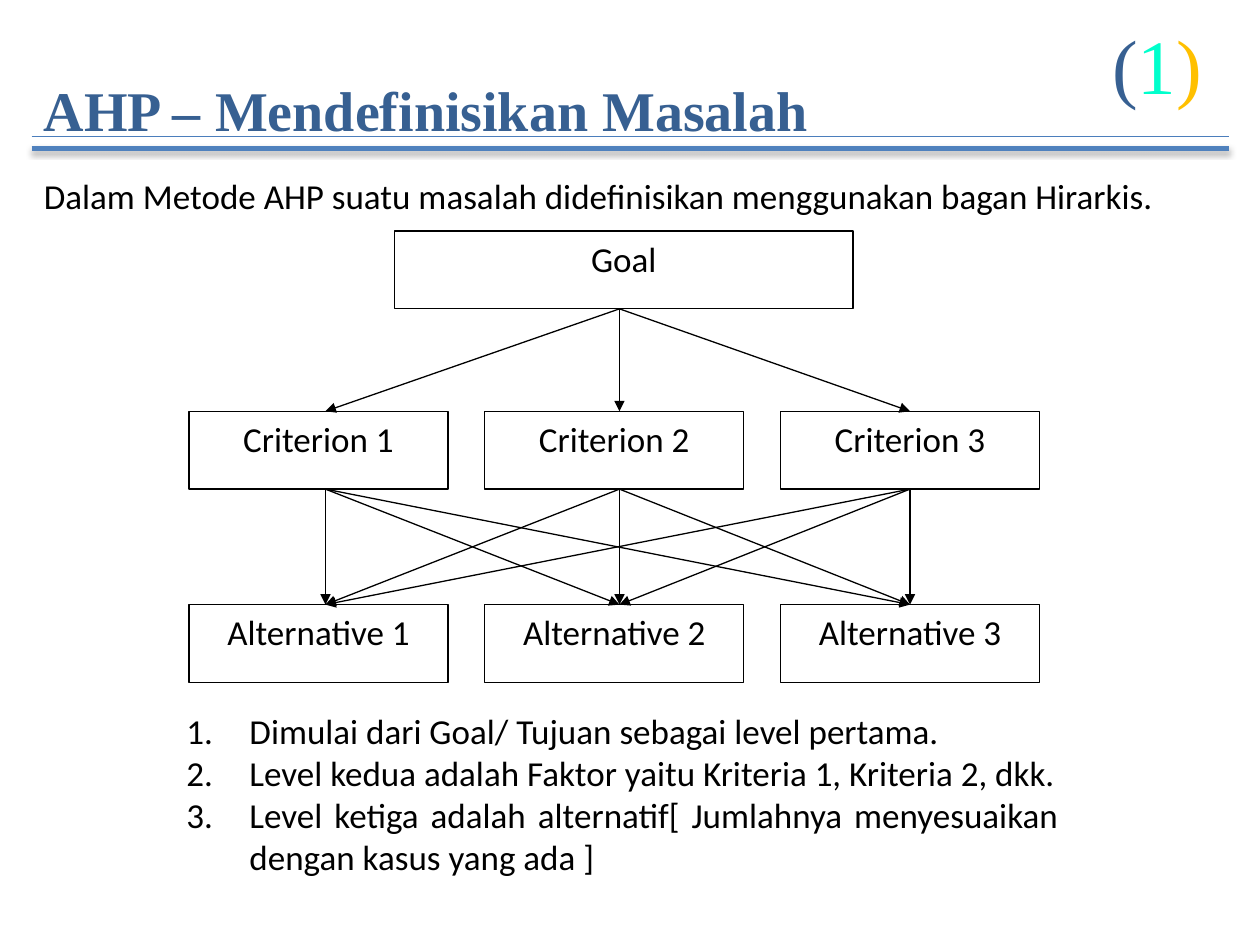
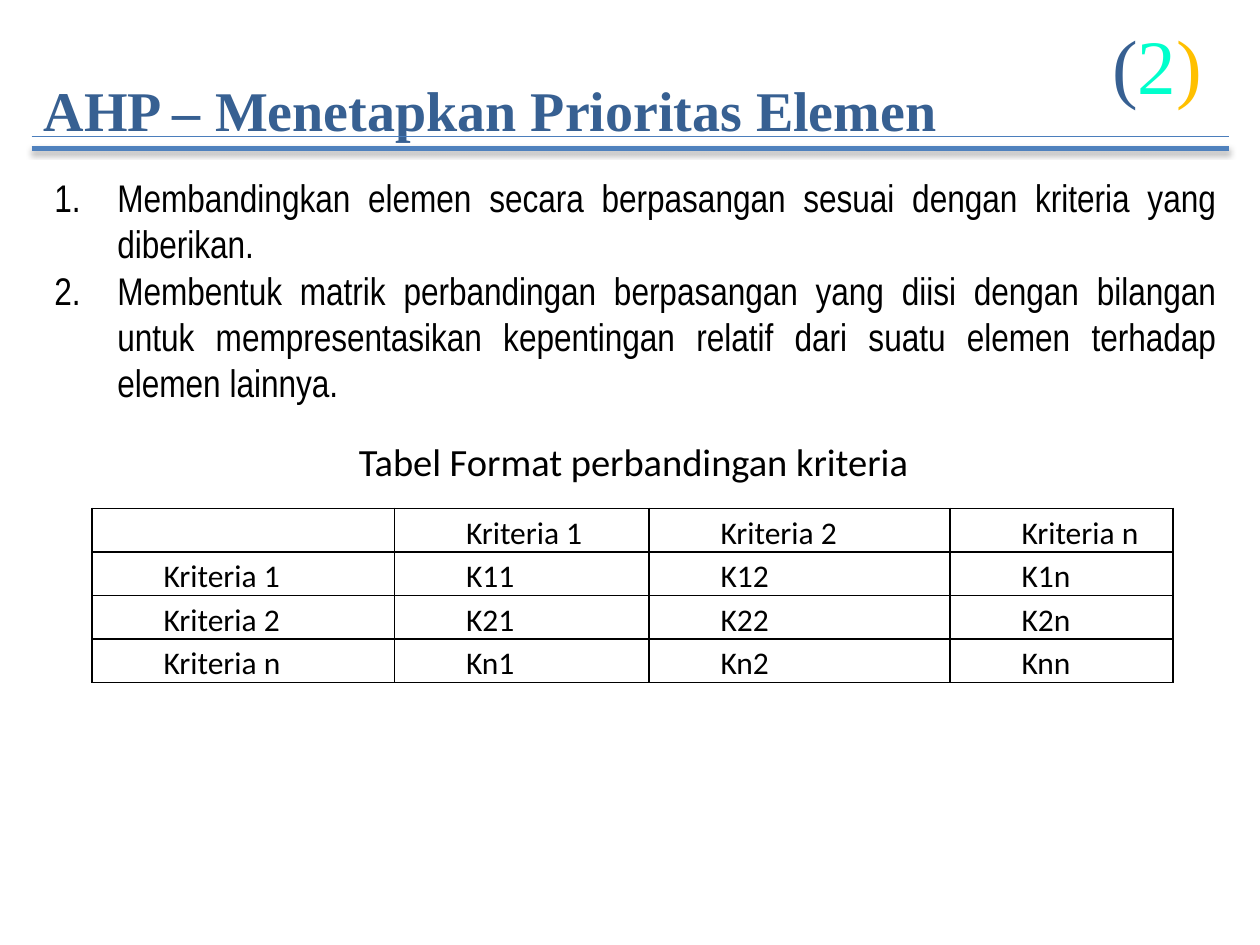
from lxml.etree import SubElement
from pptx import Presentation
from pptx.dml.color import RGBColor
from pptx.enum.shapes import MSO_CONNECTOR as Connector, MSO_SHAPE as Shape
from pptx.enum.text import MSO_ANCHOR as Anchor, PP_ALIGN as Align
from pptx.oxml.ns import qn
from pptx.util import Pt

# Shared style
BLACK, WHITE = "000000", "FFFFFF"
NAVY, BLUE, THIN_BLUE = "376092", "4F81BD", "4B7EBC"
AQUA, GOLD = "00FFCC", "FFC000"
BODY, NARROW, SERIF = "Calibri", "Arial Narrow", "Times New Roman"

# Hierarchy chart grid
BOX_HEIGHT, BOX_WIDTH = 44.5, 148
BOX_LEFTS = [108 + 169 * i for i in range(3)]
ARROW_XS = [186, 354, 520]
GOAL_TOP, CRITERION_TOP, ALTERNATIVE_TOP = 132, 235, 345.5


def colour(hex_code):
    return RGBColor.from_string(hex_code)


def set_font(target, size, name=BODY, hex_code=BLACK, bold=False):
    font = target.font
    font.size, font.name, font.bold = Pt(size), name, bold
    font.color.rgb = colour(hex_code)


def add_text_box(page, left, top, width, height, anchor=Anchor.TOP, wrap=True):
    box = page.shapes.add_textbox(Pt(left), Pt(top), Pt(width), Pt(height))
    frame = box.text_frame
    frame.word_wrap = wrap
    frame.vertical_anchor = anchor
    return frame


def add_line(page, start, end, hex_code, width):
    line = page.shapes.add_connector(Connector.STRAIGHT, *map(Pt, start + end))
    line.line.color.rgb = colour(hex_code)
    line.line.width = Pt(width)
    effects = SubElement(line._element.spPr, qn("a:effectLst"))
    return line, effects


def add_soft_shadow(effects):
    shadow = SubElement(effects, qn("a:outerShdw"), blurRad=str(Pt(3.1)),
                        dist=str(Pt(1.8)), dir="5400000", rotWithShape="0")
    black = SubElement(shadow, qn("a:srgbClr"), val=BLACK)
    SubElement(black, qn("a:alpha"), val="35000")


def add_header(page, title, number):
    frame = add_text_box(page, 18, 29.5, 612, 66, Anchor.MIDDLE)
    para = frame.paragraphs[0]
    para.text = title
    set_font(para, 32, SERIF, NAVY, bold=True)

    # Double rule under the title
    add_line(page, (18, 78), (702, 78), THIN_BLUE, 0.75)
    _, effects = add_line(page, (18, 85), (702, 85), BLUE, 3)
    add_soft_shadow(effects)

    # Step number in coloured brackets
    para = add_text_box(page, 628.5, 3.5, 72, 66, Anchor.MIDDLE).paragraphs[0]
    for text, hex_code in (("(", NAVY), (number, AQUA), (")", GOLD)):
        span = para.add_run()
        span.text = text
        set_font(span, 44, SERIF, hex_code)


def add_numbered_list(page, place, items, size, name=BODY):
    frame = add_text_box(page, *place)
    for i, item in enumerate(items):
        para = frame.paragraphs[0] if i == 0 else frame.add_paragraph()
        para.text = item
        para.alignment = Align.JUSTIFY
        properties = para._p.get_or_add_pPr()
        properties.set("marL", str(Pt(36)))
        properties.set("indent", str(-Pt(36)))
        SubElement(properties, qn("a:buFont"), typeface="+mj-lt")
        SubElement(properties, qn("a:buAutoNum"), type="arabicPeriod")
        set_font(para, size, name)


def add_node(page, text, left, top, width=BOX_WIDTH):
    node = page.shapes.add_shape(Shape.RECTANGLE, Pt(left), Pt(top), Pt(width), Pt(BOX_HEIGHT))
    node.shadow.inherit = False
    node.fill.solid()
    node.fill.fore_color.rgb = colour(WHITE)
    node.line.color.rgb = colour(BLACK)
    node.line.width = Pt(0.75)
    node.text_frame.vertical_anchor = Anchor.TOP
    para = node.text_frame.paragraphs[0]
    para.text = text
    para.alignment = Align.CENTER
    para.space_after = Pt(10)
    set_font(para, 20)
    return node


def is_middle(node, x):
    return node.left + node.width // 2 == Pt(x)


def add_arrow(page, upper, upper_x, lower, lower_x):
    start = (upper_x, (upper.top + upper.height) / Pt(1))
    end = (lower_x, lower.top / Pt(1))
    arrow, _ = add_line(page, start, end, BLACK, 0.75)
    SubElement(arrow.line._get_or_add_ln(), qn("a:tailEnd"), type="triangle")
    if is_middle(upper, upper_x):
        arrow.begin_connect(upper, 2)
    if is_middle(lower, lower_x):
        arrow.end_connect(lower, 0)


def add_hierarchy(page):
    goal = add_node(page, "Goal", 225.5, GOAL_TOP, 262)
    criteria, alternatives = (
        [add_node(page, f"{word} {i}", left, top) for i, left in enumerate(BOX_LEFTS, 1)]
        for word, top in (("Criterion", CRITERION_TOP), ("Alternative", ALTERNATIVE_TOP)))
    for criterion, x in zip(criteria, ARROW_XS):
        add_arrow(page, goal, ARROW_XS[1], criterion, x)
        for alternative, target_x in zip(alternatives, ARROW_XS):
            add_arrow(page, criterion, x, alternative, target_x)


def add_cell_borders(cell):
    properties = cell._tc.get_or_add_tcPr()
    for side in ("lnL", "lnR", "lnT", "lnB"):
        border = SubElement(properties, qn(f"a:{side}"), w=str(Pt(1)))
        fill = SubElement(border, qn("a:solidFill"))
        SubElement(fill, qn("a:srgbClr"), val=BLACK)


def add_comparison_table(page, rows, left, top, widths, row_height):
    table = page.shapes.add_table(len(rows), len(widths), Pt(left), Pt(top),
                                  Pt(sum(widths)), Pt(row_height * len(rows))).table
    table.first_row = table.horz_banding = False
    for column, width in zip(table.columns, widths):
        column.width = Pt(width)
    for r, row in enumerate(rows):
        table.rows[r].height = Pt(row_height)
        for c, text in enumerate(row):
            cell = table.cell(r, c)
            cell.margin_left = cell.margin_right = Pt(5)
            cell.margin_top = cell.margin_bottom = 0
            add_cell_borders(cell)
            cell.fill.background()
            para = cell.text_frame.paragraphs[0]
            para.text = text
            para.alignment = Align.JUSTIFY
            para.line_spacing = 1.15
            para._p.get_or_add_pPr().set("marL", str(Pt(36)))
            set_font(para, 18)


def build_problem_page(page):
    add_header(page, "AHP – Mendefinisikan Masalah", "1")
    para = add_text_box(page, 18, 96, 684, 31.5).paragraphs[0]
    para.text = "Dalam Metode AHP suatu masalah didefinisikan menggunakan bagan Hirarkis."
    para.alignment = Align.JUSTIFY
    set_font(para, 20)
    add_hierarchy(page)
    add_numbered_list(page, (99.5, 402, 512.5, 104.5), [
        "Dimulai dari Goal/ Tujuan sebagai level pertama.",
        "Level kedua adalah Faktor yaitu Kriteria 1, Kriteria 2, dkk.",
        "Level ketiga adalah alternatif[ Jumlahnya menyesuaikan dengan kasus yang ada ]",
    ], 20)


def build_priority_page(page):
    add_header(page, "AHP – Menetapkan Prioritas Elemen", "2")
    add_numbered_list(page, (24, 96, 678, 139), [
        "Membandingkan elemen secara berpasangan sesuai dengan kriteria yang diberikan.",
        "Membentuk matrik perbandingan berpasangan yang diisi dengan bilangan untuk "
        "mempresentasikan kepentingan relatif dari suatu elemen terhadap elemen lainnya.",
    ], 22, NARROW)
    para = add_text_box(page, 198, 247, 331, 34, wrap=False).paragraphs[0]
    para.text = "Tabel Format perbandingan kriteria"
    set_font(para, 22)

    # Pairwise comparison matrix
    marks = "12n"
    rows = [[""] + [f"Kriteria {mark}" for mark in marks]]
    rows += [[f"Kriteria {i}"] + [f"K{i}{j}" for j in marks] for i in marks]
    add_comparison_table(page, rows, 52.5, 290.5, (172.8, 145.5, 172, 127.5), 24.85)


def main():
    deck = Presentation()
    deck.slide_width, deck.slide_height = Pt(720), Pt(540)
    blank = deck.slide_layouts[6]
    for build in (build_problem_page, build_priority_page):
        build(deck.slides.add_slide(blank))
    deck.save("out.pptx")


if __name__ == "__main__":
    main()
